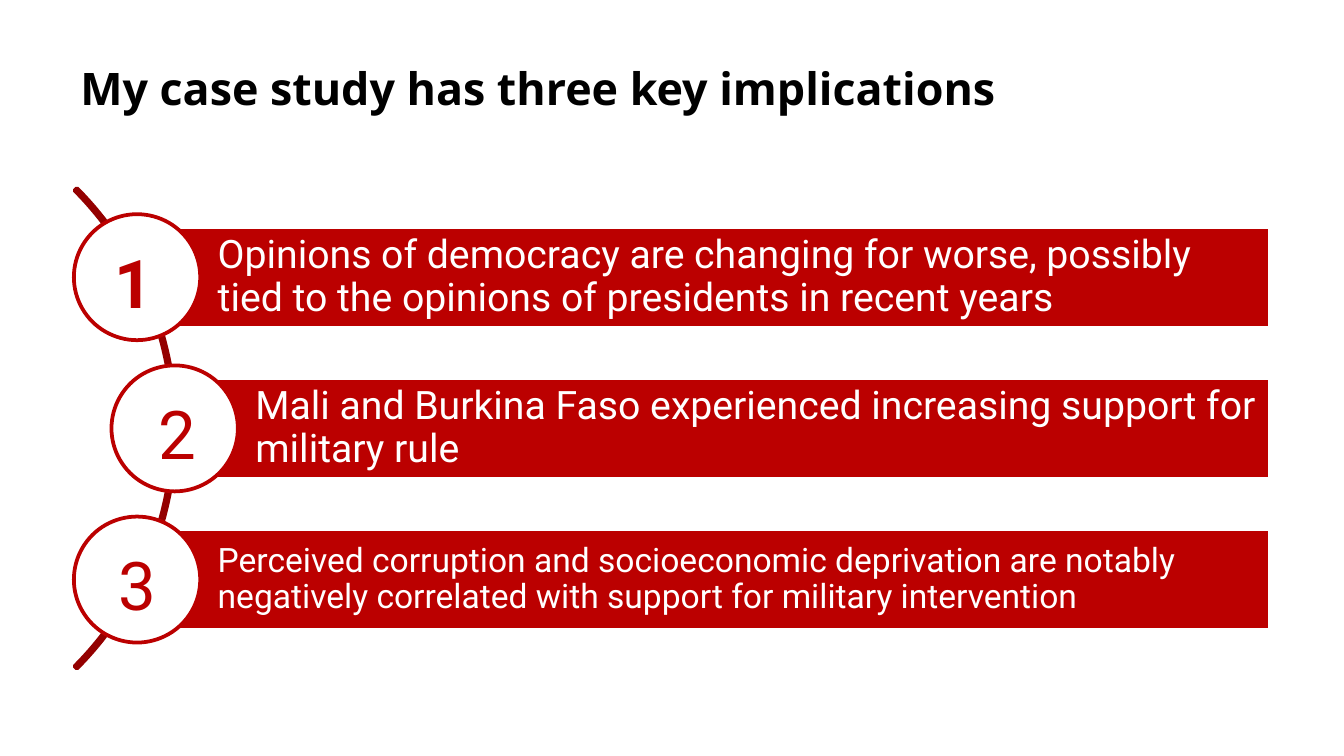
from pptx import Presentation
from pptx.dml.color import RGBColor
from pptx.enum.shapes import MSO_SHAPE as Shape
from pptx.enum.text import MSO_ANCHOR as Anchor, PP_ALIGN as Align
from pptx.util import Inches, Pt

COLORS = {"red": "BB0000", "dark red": "940000", "white": "FFFFFF", "black": "000000"}

deck = Presentation()
deck.slide_width, deck.slide_height = Inches(10), Inches(5.625)
COL, ROW = deck.slide_width / 100, deck.slide_height / 30
page = deck.slides.add_slide(deck.slide_layouts[6])


def write(box, text, size, color, font="Roboto", bold=False, spacing=None,
          anchor=Anchor.TOP, margins=(0.1, 0.05, 0.1, 0.05)):
    frame = box.text_frame
    frame.word_wrap = True
    frame.vertical_anchor = anchor
    (frame.margin_left, frame.margin_top,
     frame.margin_right, frame.margin_bottom) = map(Inches, margins)
    para = frame.paragraphs[0]
    para.alignment = Align.LEFT
    para.line_spacing = spacing
    span = para.add_run()
    span.text = text
    span.font.name, span.font.size, span.font.bold = font, Pt(size), bold
    span.font.color.rgb = RGBColor.from_string(COLORS[color])


def draw(kind, left, top, width, height, line, fill=None):
    """Add an outlined shape placed in grid columns and rows."""
    shape = page.shapes.add_shape(kind, int(left * COL), int(top * ROW),
                                  int(width * COL), int(height * ROW))
    shape.shadow.inherit = False
    shape.line.color.rgb = RGBColor.from_string(COLORS[line])
    shape.line.width = Pt(2)
    if fill:
        shape.fill.solid()
        shape.fill.fore_color.rgb = RGBColor.from_string(COLORS[fill])
    else:
        shape.fill.background()
    return shape


title = page.shapes.add_textbox(int(5 * COL), Inches(0.4), int(90 * COL), Inches(0.67))
write(title, "My case study has three key implications", 24, "black",
      font="Open Sans", bold=True)

arc = draw(Shape.BLOCK_ARC, -37.4, 3.5, 50.5, 27, "dark red")
for index, value in enumerate((189, 27, 0.005)):
    arc.adjustments[index] = value

# Wording, text size, circle left and number left (in columns)
implications = [
    ("Opinions of democracy are changing for worse, possibly tied to the "
     "opinions of presidents in recent years", 21, 5.5, 7.5),
    ("Mali and Burkina Faso experienced increasing support for military rule",
     21, 8.3, 10.8),
    ("Perceived corruption and socioeconomic deprivation are notably "
     "negatively correlated with support for military intervention", 18, 5.5, 7.8),
]
BAR_RIGHT, CIRCLE = 94.5, 9.4
for number, (text, size, left, number_left) in enumerate(implications, 1):
    top = 3 + 6 * number
    middle = left + CIRCLE / 2
    bar = draw(Shape.RECTANGLE, middle, top, BAR_RIGHT - middle, 4, "white", "red")
    write(bar, text, size, "white", spacing=0.9, anchor=Anchor.MIDDLE,
          margins=(0.6, 0.06, 0.06, 0.06))
    draw(Shape.OVAL, left, top - 0.5, CIRCLE, 5, "red", "white")
    label = page.shapes.add_textbox(int(number_left * COL), int((top + 0.3) * ROW),
                                    int(5.1 * COL), Inches(0.71))
    write(label, str(number), 36, "red", bold=number == 1)

deck.save("out.pptx")
